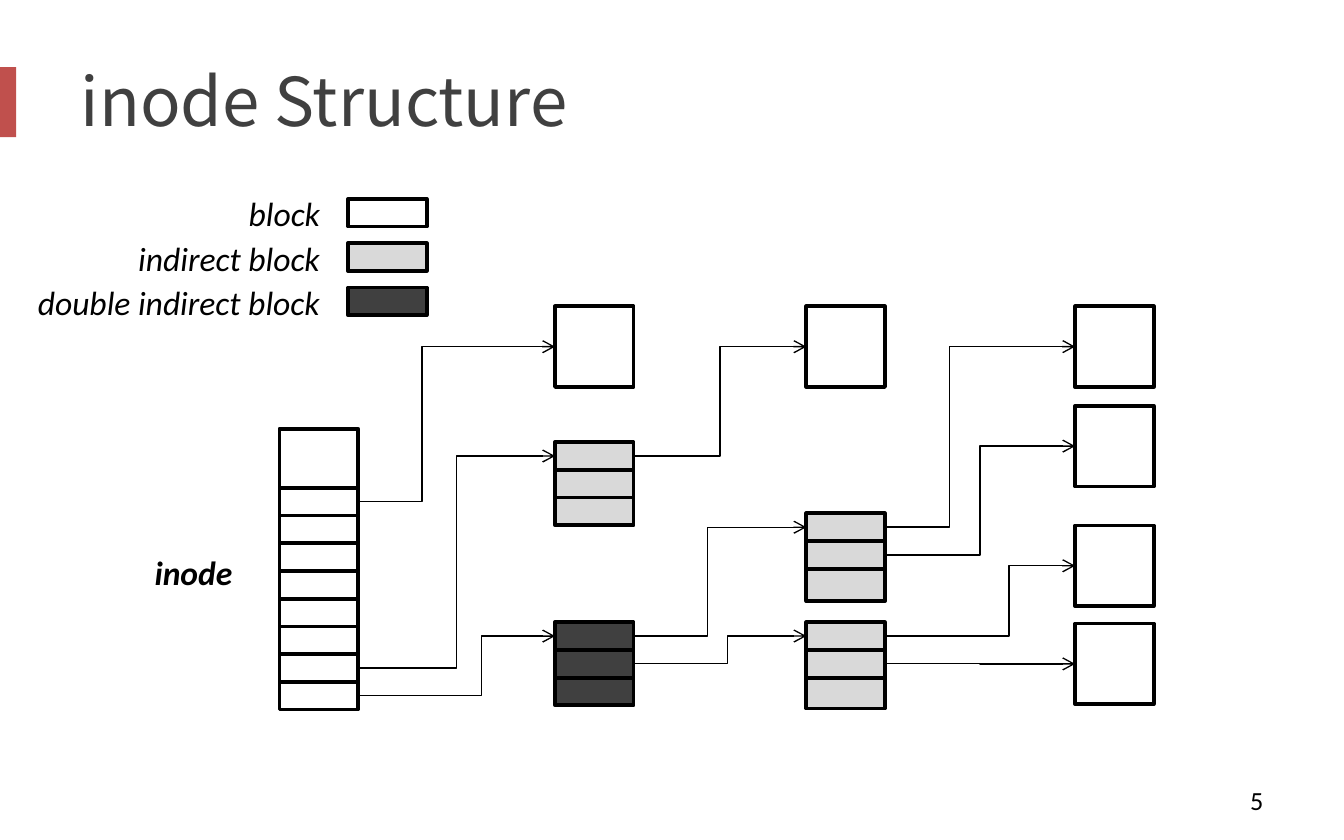
from dataclasses import dataclass

from lxml import etree
from pptx import Presentation
from pptx import util as u
from pptx.dml.color import RGBColor
from pptx.enum import shapes, text
from pptx.oxml import ns


@dataclass(frozen=True)
class Theme:
    accent: str = "C0504D"
    title: str = "404040"
    ink: str = "000000"
    block: str = "FFFFFF"
    indirect: str = "D9D9D9"
    double: str = "404040"
    title_font: str = "Noto Sans CJK SC"
    body_font: str = "Calibri"
    title_size: int = 36
    label_size: int = 18
    number_size: int = 14
    border: float = 2
    wire: float = 0.75


THEME = Theme()
WIDTH, HEIGHT = 10, 6.25
COLUMNS = [2.08, 4.13, 6, 8]
CELL = 0.585
INODE_TOP, INODE_BOTTOM, HEADER = 3.19, 5.28, 0.44
ROW = (INODE_BOTTOM - INODE_TOP - HEADER) / 8
BLOCK = 0.6

LEGEND = [
    ("block", THEME.block),
    ("indirect block", THEME.indirect),
    ("double indirect block", THEME.double),
]
LEGEND_TOP, LEGEND_STEP, LEGEND_SWATCH = 1.39, 0.33, 2.59

STACKS = {
    "inode": (0, INODE_TOP, THEME.block, [HEADER] + [ROW] * 8),
    "direct": (1, 2.28, THEME.block, [BLOCK]),
    "single": (1, 3.29, THEME.indirect, [ROW] * 3),
    "double": (1, 4.63, THEME.double, [ROW] * 3),
    "single data": (2, 2.28, THEME.block, [BLOCK]),
    "upper": (2, 3.82, THEME.indirect, [ROW, ROW, 0.24]),
    "lower": (2, 4.63, THEME.indirect, [ROW, ROW, 0.23]),
    "data 1": (3, 2.28, THEME.block, [BLOCK]),
    "data 2": (3, 3.02, THEME.block, [BLOCK]),
    "data 3": (3, 3.91, THEME.block, [BLOCK]),
    "data 4": (3, 4.64, THEME.block, [BLOCK]),
}

POINTERS = [
    ("inode", 1, "direct", 0.325),
    ("inode", 7, "single", 0.5),
    ("inode", 8, "double", 0.625),
    ("single", 0, "single data", 0.5),
    ("double", 0, "upper", 0.428),
    ("double", 1, "lower", 0.545),
    ("upper", 0, "data 1", 0.338),
    ("upper", 1, "data 2", 0.5),
    ("lower", 0, "data 3", 0.653),
    ("lower", 1, "data 4", 0.5),
]


def inches(*lengths):
    return [u.Inches(length) for length in lengths]


def add_box(slide, left, top, width, height, fill, border=True):
    shape = slide.shapes.add_shape(
        shapes.MSO_SHAPE.RECTANGLE, *inches(left, top, width, height))
    shape.shadow.inherit = False
    shape.fill.solid()
    shape.fill.fore_color.rgb = RGBColor.from_string(fill)
    if border:
        shape.line.color.rgb = RGBColor.from_string(THEME.ink)
        shape.line.width = u.Pt(THEME.border)
    else:
        shape.line.fill.background()
    return shape


def write(shape, words, size, align, font=THEME.body_font, color=THEME.ink,
          bold=False, italic=False, anchor=text.MSO_ANCHOR.TOP):
    frame = shape.text_frame
    frame.word_wrap = True
    frame.auto_size = text.MSO_AUTO_SIZE.NONE
    frame.vertical_anchor = anchor
    paragraph = frame.paragraphs[0]
    paragraph.text = words
    paragraph.alignment = align
    paragraph.font.name = font
    paragraph.font.size = u.Pt(size)
    paragraph.font.bold = bold
    paragraph.font.italic = italic
    paragraph.font.color.rgb = RGBColor.from_string(color)


def add_label(slide, place, words, size, align, **style):
    write(slide.shapes.add_textbox(*inches(*place)), words, size, align, **style)


def add_pointer(slide, source, target, bend):
    connector = slide.shapes.add_connector(shapes.MSO_CONNECTOR.ELBOW, 0, 0, 0, 0)
    connector.begin_connect(source, 3)
    connector.end_connect(target, 1)
    connector.line.color.rgb = RGBColor.from_string(THEME.ink)
    connector.line.width = u.Pt(THEME.wire)
    properties = connector._element.spPr
    guides = properties.find(ns.qn("a:prstGeom")).get_or_add_avLst()
    etree.SubElement(guides, ns.qn("a:gd"), name="adj1", fmla=f"val {round(bend * 100000)}")
    etree.SubElement(connector.line._get_or_add_ln(), ns.qn("a:tailEnd"), type="arrow")
    etree.SubElement(properties, ns.qn("a:effectLst"))


def main():
    presentation = Presentation()
    presentation.slide_width, presentation.slide_height = inches(WIDTH, HEIGHT)
    slide = presentation.slides.add_slide(presentation.slide_layouts[5])
    align = text.PP_ALIGN

    add_box(slide, 0, 0.08 * HEIGHT, 0.12, 0.52, THEME.accent, border=False)
    title = slide.shapes.title
    title.left, title.top, title.width, title.height = inches(0.5, 0.25, 9, 0.98)
    write(title, "inode Structure", THEME.title_size, align.LEFT,
          font=THEME.title_font, color=THEME.title, anchor=text.MSO_ANCHOR.MIDDLE)
    add_label(slide, (7.17, 5.79, 2.33, 0.33), "5", THEME.number_size, align.RIGHT,
              anchor=text.MSO_ANCHOR.MIDDLE)
    add_label(slide, (0.92, 4.06, 1.04, 0.4), "inode", THEME.label_size, align.CENTER,
              bold=True, italic=True)

    for index, (words, fill) in enumerate(LEGEND):
        top = LEGEND_TOP + index * LEGEND_STEP
        add_label(slide, (0, top, 2.48, 0.4), words, THEME.label_size, align.RIGHT,
                  italic=True)
        add_box(slide, LEGEND_SWATCH, top + 0.09, CELL, ROW, fill)

    cells = {}
    for name, (column, top, fill, heights) in STACKS.items():
        cells[name] = []
        for height in heights:
            cells[name].append(add_box(slide, COLUMNS[column], top, CELL, height, fill))
            top += height

    for source, row, target, bend in POINTERS:
        add_pointer(slide, cells[source][row], cells[target][0], bend)

    presentation.save("out.pptx")


if __name__ == "__main__":
    main()
